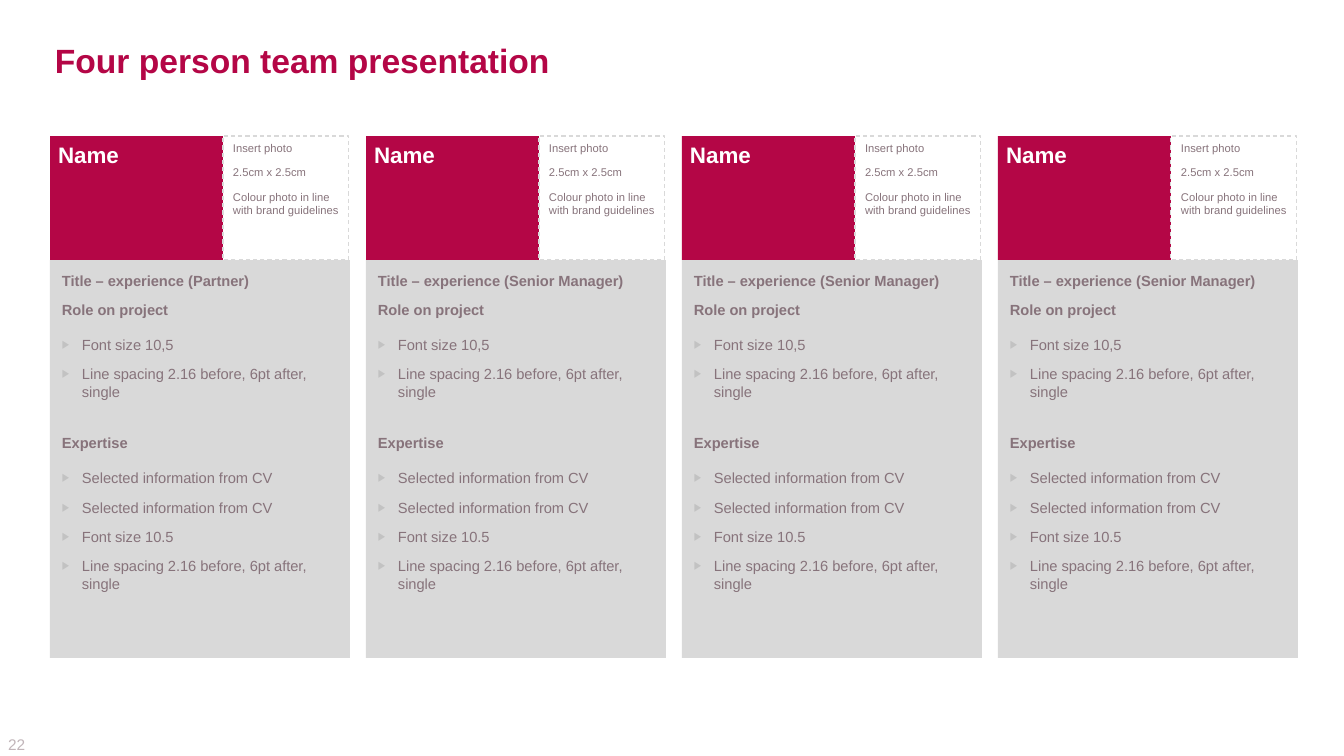
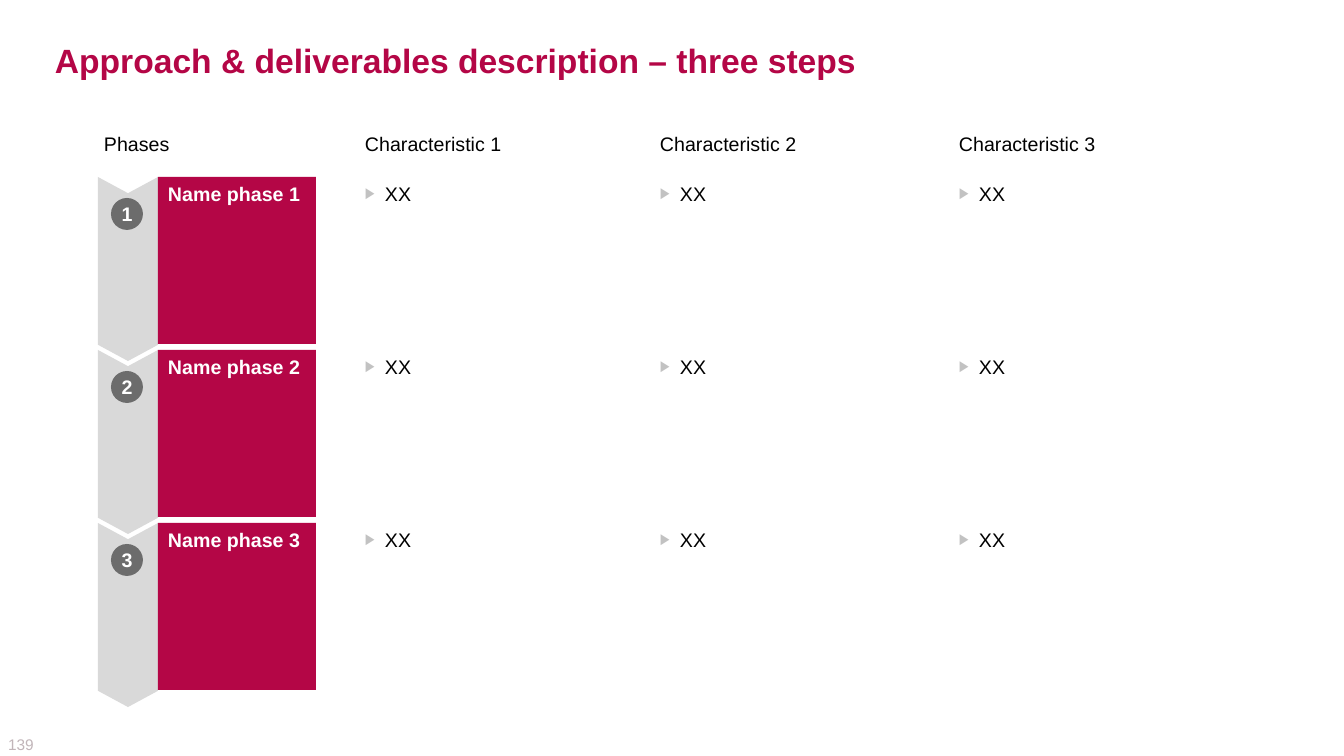
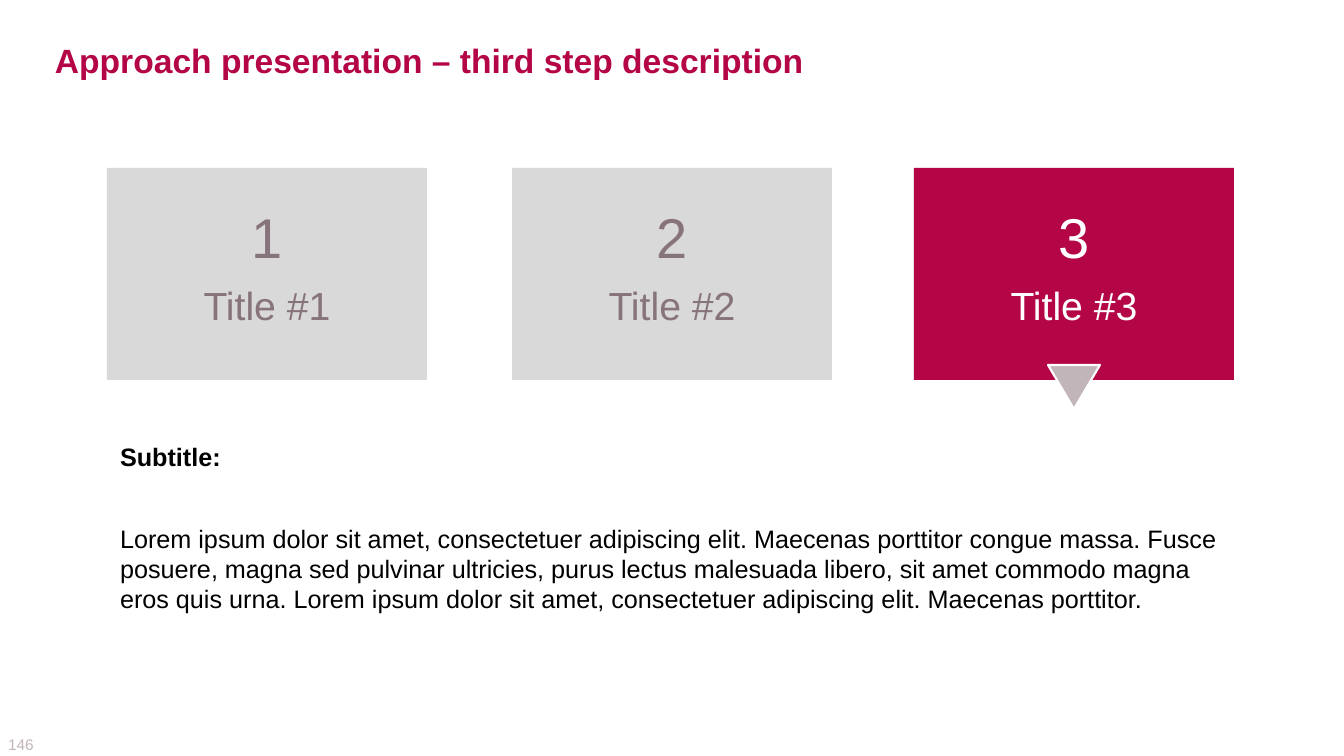
from pptx import Presentation
from pptx.dml.color import RGBColor
from pptx.enum.dml import MSO_LINE
from pptx.enum.shapes import MSO_SHAPE as SHAPE
from pptx.enum.text import MSO_ANCHOR as ANCHOR, PP_ALIGN as ALIGN
from pptx.oxml import parse_xml
from pptx.oxml.ns import nsdecls
from pptx.util import Pt

# Shared style
PX = 914400 / 100.8
FONT = "Arial"
COLORS = {
    "brand": "B40646", "panel": "D9D9D9", "muted": "87737B", "pale": "C1B5B9",
    "bullet": "C2C2C2", "badge": "6C6C6C", "black": "000000", "white": "FFFFFF",
}

# Team slide
TEAM_TITLE = "Four person team presentation"
TEAM = [
    ("Name", "Partner"),
    ("Name", "Senior Manager"),
    ("Name", "Senior Manager"),
    ("Name", "Senior Manager"),
]
PHOTO_NOTE = ["Insert photo", "2.5cm x 2.5cm", "Colour photo in line with brand guidelines"]
ROLE = ["Font size 10,5", "Line spacing 2.16 before, 6pt after, single"]
EXPERTISE = [
    "Selected information from CV", "Selected information from CV",
    "Font size 10.5", "Line spacing 2.16 before, 6pt after, single",
]

# Phases slide
PHASES_TITLE = "Approach & deliverables description – three steps"
PHASES = [
    ("Name phase 1", ["XX", "XX", "XX"]),
    ("Name phase 2", ["XX", "XX", "XX"]),
    ("Name phase 3", ["XX", "XX", "XX"]),
]
PHASE_HEADINGS = [  # text, left, width
    ("Phases", 98, 78), ("Characteristic 1", 359, 149),
    ("Characteristic 2", 654, 149), ("Characteristic 3", 953, 149),
]

# Step slide
STEP_TITLE = "Approach presentation – third step description"
STEPS = [("1", "Title #1", 107), ("2", "Title #2", 512), ("3", "Title #3", 914)]
CURRENT_STEP = "3"
SUBTITLE = "Subtitle:"
DESCRIPTION = (
    "Lorem ipsum dolor sit amet, consectetuer adipiscing elit. Maecenas porttitor congue massa. "
    "Fusce posuere, magna sed pulvinar ultricies, purus lectus malesuada libero, sit amet commodo "
    "magna eros quis urna. Lorem ipsum dolor sit amet, consectetuer adipiscing elit. "
    "Maecenas porttitor."
)


def px(length):
    return round(length * PX)


def rgb(name):
    return RGBColor.from_string(COLORS[name])


def para(text, **fmt):
    return text, fmt


def add_bullet(paragraph):
    props = paragraph._p.get_or_add_pPr()
    props.set("marL", str(px(20)))
    props.set("indent", str(-px(20)))
    for xml in (
        f'<a:buClr {nsdecls("a")}><a:srgbClr val="{COLORS["bullet"]}"/></a:buClr>',
        f'<a:buSzPct {nsdecls("a")} val="77000"/>',
        f'<a:buFont {nsdecls("a")} typeface="{FONT}"/>',
        f'<a:buChar {nsdecls("a")} char="▶"/>',
    ):
        props.append(parse_xml(xml))


def write(shape, paragraphs, size=14, color="black", bold=False, align=ALIGN.LEFT,
          anchor=ANCHOR.TOP, inset=(6, 5, 6, 5), wrap=True, before=4, after=4):
    """Fill a shape with paragraphs; each may override the shared format."""
    frame = shape.text_frame
    frame.word_wrap = wrap
    frame.vertical_anchor = anchor
    (frame.margin_left, frame.margin_top,
     frame.margin_right, frame.margin_bottom) = map(px, inset)
    for i, item in enumerate(paragraphs):
        text, fmt = item if isinstance(item, tuple) else (item, {})
        paragraph = frame.paragraphs[0] if i == 0 else frame.add_paragraph()
        bullet = fmt.get("bullet", False)
        paragraph.alignment = align
        if i:
            paragraph.space_before = Pt(fmt.get("before", 8.4 if bullet else before))
        paragraph.space_after = Pt(0 if bullet else after)
        if bullet:
            add_bullet(paragraph)
        run = paragraph.add_run()
        run.text = text
        run.font.name = FONT
        run.font.size = Pt(fmt.get("size", size))
        run.font.bold = fmt.get("bold", bold)
        run.font.color.rgb = rgb(color)


def add_text(slide, box, paragraphs, **fmt):
    write(slide.shapes.add_textbox(*map(px, box)), paragraphs, **fmt)


def add_block(slide, box, fill=None, line=None, line_width=0.75, dash=None,
              kind=SHAPE.RECTANGLE, paragraphs=(), **fmt):
    block = slide.shapes.add_shape(kind, *map(px, box))
    block.shadow.inherit = False
    if fill:
        block.fill.solid()
        block.fill.fore_color.rgb = rgb(fill)
    else:
        block.fill.background()
    if line:
        block.line.color.rgb = rgb(line)
        block.line.width = Pt(line_width)
        block.line.dash_style = dash
    else:
        block.line.fill.background()
    if paragraphs:
        write(block, paragraphs, **fmt)
    return block


def new_slide(deck, title, number):
    slide = deck.slides.add_slide(deck.slide_layouts[6])
    add_text(slide, (8, 735, 39, 19), [number], size=11, color="pale",
             anchor=ANCHOR.MIDDLE, inset=(0, 0, 0, 0), after=0)
    add_text(slide, (47, 35, 1250, 51), [title], size=24, color="brand", bold=True,
             anchor=ANCHOR.MIDDLE, inset=(8, 5, 8, 5), after=0)
    return slide


def team_slide(deck):
    slide = new_slide(deck, TEAM_TITLE, "22")
    top, name_width, photo_width, header_height = 136, 173, 126, 124
    for i, (name, grade) in enumerate(TEAM):
        left = 50 + 316 * i
        profile = [
            para(f"Title – experience ({grade})", bold=True),
            para("Role on project", bold=True),
            *[para(text, bullet=True) for text in ROLE],
            para("Expertise", bold=True, before=24),
            *[para(text, bullet=True) for text in EXPERTISE],
        ]
        add_block(slide, (left, top + header_height, 300, 398), fill="panel",
                  paragraphs=profile, size=10.5, color="muted", inset=(12, 12, 8, 8))
        add_block(slide, (left, top, name_width, header_height), fill="brand",
                  paragraphs=[name], size=16, color="white", bold=True, inset=(8, 5, 4, 5))
        add_block(slide, (left + name_width, top, photo_width, header_height),
                  line="panel", dash=MSO_LINE.DASH, paragraphs=PHOTO_NOTE,
                  size=8, color="muted", inset=(10, 5, 10, 5))


def phases_slide(deck):
    slide = new_slide(deck, PHASES_TITLE, "139")
    for heading, left, width in PHASE_HEADINGS:
        add_text(slide, (left, 127, width, 34), [heading], anchor=ANCHOR.MIDDLE, wrap=False)

    arrow_left, arrow_width, arrow_length, height = 98, 60, 184, 167
    # Last phase first, so that each arrow lies over the next one
    for i, (phase, cells) in reversed(list(enumerate(PHASES))):
        top = 177 + 173 * i
        offset = (arrow_length - arrow_width) // 2
        arrow = add_block(slide, (arrow_left - offset, top + offset, arrow_length, arrow_width),
                          fill="panel", kind=SHAPE.CHEVRON)
        arrow.adjustments[0] = 0.27
        arrow.rotation = 90
        add_block(slide, (arrow_left + arrow_width, top, 158, height), fill="brand",
                  paragraphs=[phase], color="white", bold=True, inset=(10, 5, 6, 5))
        add_block(slide, (111, top + 21, 32, 32), fill="badge", kind=SHAPE.OVAL,
                  paragraphs=[str(i + 1)], color="white", bold=True,
                  align=ALIGN.CENTER, anchor=ANCHOR.MIDDLE, after=0)
        for cell, (_, left, _) in zip(cells, PHASE_HEADINGS[1:]):
            add_text(slide, (left, top, 263, height), [para(cell, bullet=True)])


def step_slide(deck):
    slide = new_slide(deck, STEP_TITLE, "146")
    top, width, height = 168, 320, 212
    for number, title, left in STEPS:
        current = number == CURRENT_STEP
        add_block(slide, (left, top, width, height), fill="brand" if current else "panel",
                  paragraphs=[para(number, size=40), title], size=28,
                  color="white" if current else "muted",
                  align=ALIGN.CENTER, inset=(12, 35, 12, 12))
        if current:
            marker = add_block(slide, (left + (width - 52) // 2, 365, 52, 44), fill="pale",
                               line="white", line_width=1.5, kind=SHAPE.ISOSCELES_TRIANGLE)
            marker.rotation = 180

    # Description of the current step
    add_block(slide, (107, 428, 1127, 236), fill="white", size=18, inset=(13, 13, 13, 13),
              paragraphs=[para(SUBTITLE, bold=True), para(DESCRIPTION, before=33)])


def main():
    deck = Presentation()
    deck.slide_width, deck.slide_height = px(1344), px(756)
    team_slide(deck)
    phases_slide(deck)
    step_slide(deck)
    deck.save("out.pptx")


if __name__ == "__main__":
    main()
